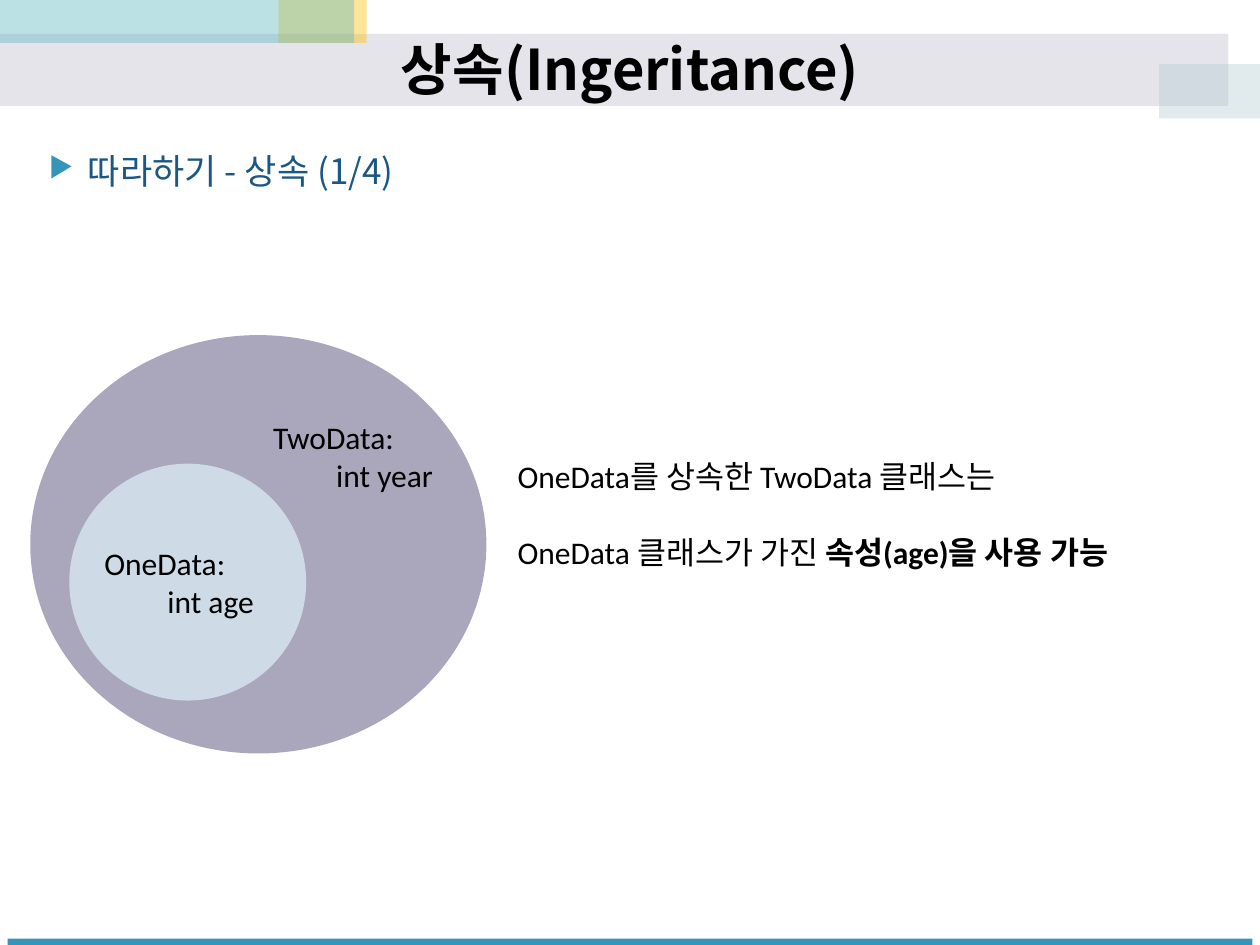
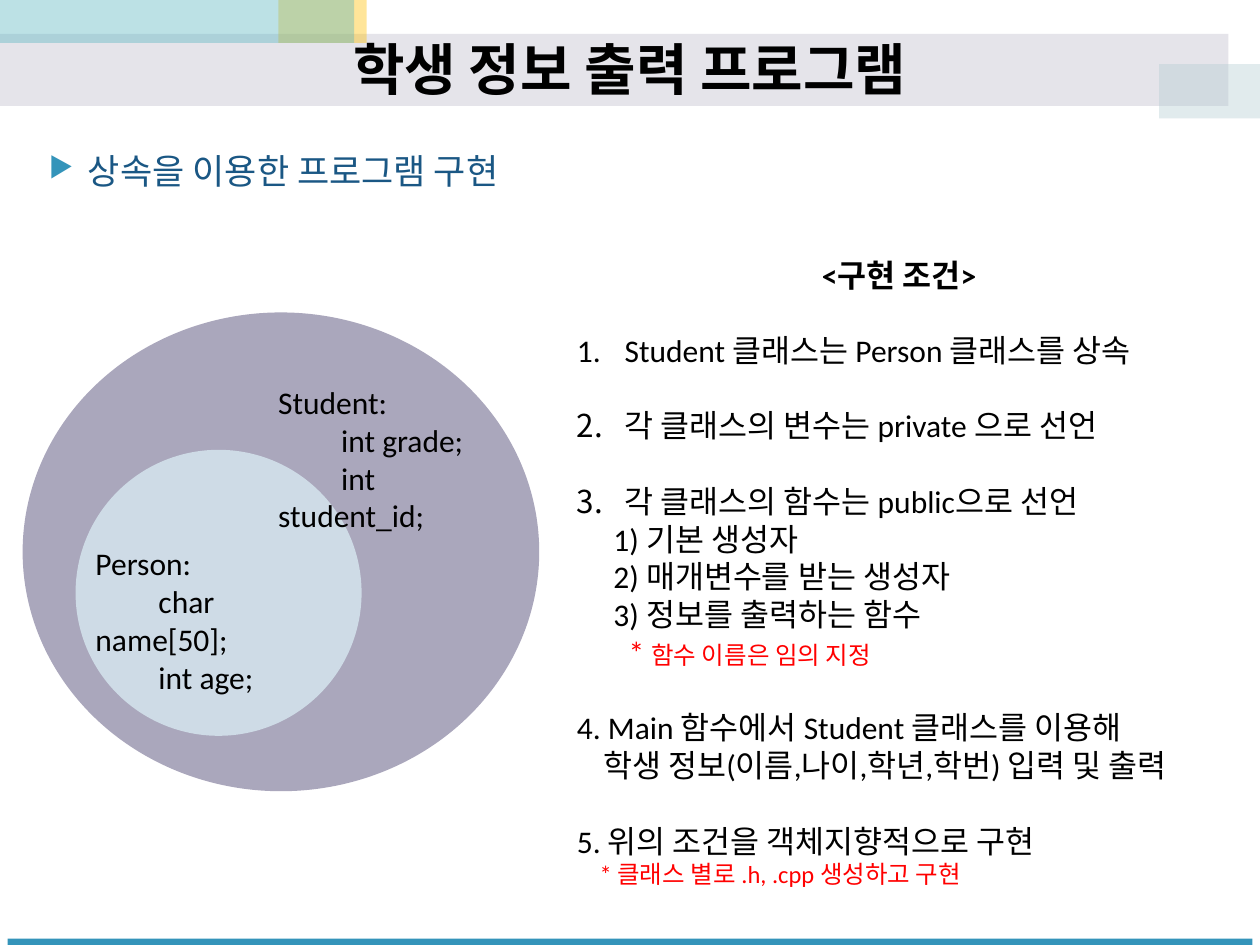
"""Build two slides about class inheritance."""
from lxml.etree import SubElement
from pptx import Presentation
from pptx.dml.color import RGBColor
from pptx.enum.shapes import MSO_SHAPE as Shape
from pptx.enum.text import MSO_ANCHOR as Anchor, MSO_AUTO_SIZE as Fit, PP_ALIGN as Align
from pptx.oxml.ns import qn
from pptx.util import Emu, Pt

PX = 9144
KOREAN, LATIN = "Noto Sans CJK KR", "Calibri"
BLACK, RED, NAVY, BLUE = "000000", "FF0000", "1A5784", "3494BA"
OUTER, INNER = "AAA7BC", "CEDBE6"
GAP = 21.5


def color(value):
    return RGBColor.from_string(value)


def add_text(page, at, lines, font=LATIN, size=18, ink=BLACK, bold=False, wrap=True):
    box = page.shapes.add_textbox(*[Emu(n * PX) for n in at])
    frame = box.text_frame
    frame.word_wrap = wrap
    for index, (spans, layout) in enumerate(lines):
        para = frame.paragraphs[0] if index == 0 else frame.add_paragraph()
        para.alignment = layout.get("align", Align.LEFT)
        para.space_before = Pt(layout.get("before", 0))
        para.space_after = Pt(layout.get("after", 0))
        props = para._p.get_or_add_pPr()
        props.set("marL", str(layout.get("margin", 0) * PX))
        props.set("indent", str(layout.get("indent", 0) * PX))
        if "bullet" in layout:
            tint = SubElement(props, qn("a:buClr"))
            SubElement(tint, qn("a:srgbClr"), val=BLUE)
            SubElement(props, qn("a:buSzPct"), val="80000")
            SubElement(props, qn("a:buChar"), char=layout["bullet"])
        if "number" in layout:
            SubElement(props, qn("a:buFont"), typeface="+mj-lt")
            SubElement(props, qn("a:buAutoNum"), type=layout["number"])
        for words, style in spans:
            span = para.add_run()
            span.text = words
            span.font.name = font
            span.font.size = Pt(style.get("size", size))
            span.font.bold = style.get("bold", bold)
            span.font.color.rgb = color(style.get("ink", ink))
            SubElement(span._r.get_or_add_rPr(), qn("a:ea"), typeface=KOREAN)
    return box


frame_shapes = [
    (Shape.RECTANGLE, (0, 27, 975, 57), OUTER, 30),
    (Shape.RECTANGLE, (221, -1, 70, 35), "FFC000", 40),
    (Shape.RECTANGLE, (-1, -1, 282, 35), "58B6C0", 40),
    (Shape.RECTANGLE, (920, 51, 80, 43), "B5CDD3", 40),
    (Shape.RECTANGLE, (6, 745, 988, 5), BLUE, 100),
]
bulleted = {"margin": 31, "indent": -31, "before": 6, "after": 3, "bullet": "▶"}
numbered = {"margin": 38, "indent": -38, "before": GAP, "number": "arabicPeriod"}
substep = {"margin": 29}
small_red = {"size": 14, "ink": RED}

explanation = [
    ([("OneData를 상속한 TwoData 클래스는", {})], {}),
    ([("OneData 클래스가 가진 ", {}), ("속성(age)을 사용 가능", {"bold": True})], {"before": GAP}),
]
conditions = [
    ([("<구현 조건>", {"bold": True})], {"align": Align.CENTER}),
    ([("Student 클래스는 Person 클래스를 상속", {})], numbered),
    ([("각 클래스의 변수는 private 으로 선언", {})], numbered),
    ([("각 클래스의 함수는 public으로 선언", {})], numbered),
    ([("1) 기본 생성자", {})], substep),
    ([("2) 매개변수를 받는 생성자", {})], substep),
    ([("3) 정보를 출력하는 함수", {})], substep),
    ([("* ", {"ink": RED}), ("함수 이름은 임의 지정", small_red)], {"margin": 41}),
    ([("4. Main 함수에서 Student 클래스를 이용해", {})], {"before": GAP}),
    ([("학생 정보(이름,나이,학년,학번) 입력 및 출력", {})], {"indent": 21}),
    ([("5. 위의 조건을 객체지향적으로 구현", {})], {"before": GAP}),
    ([("* 클래스 별로 .h, .cpp 생성하고 구현", small_red)], {"margin": 18}),
]
slides = [
    {
        "title": "상속(Ingeritance)",
        "topic": "따라하기 - 상속 (1/4)",
        "circles": [((24, 266, 362, 332), OUTER), ((55, 368, 188, 188), INNER)],
        "classes": [
            ((73, 427, 142, 71), ["OneData:", "\tint age"]),
            ((207, 327, 148, 71), ["TwoData:", "\tint year"]),
        ],
        "notes_box": (401, 358, 536, 131),
        "notes": explanation,
    },
    {
        "title": "학생 정보 출력 프로그램",
        "topic": "상속을 이용한 프로그램 구현",
        "circles": [((18, 248, 410, 380), OUTER), ((60, 357, 227, 227), INNER)],
        "classes": [
            ((66, 427, 224, 101), ["Person:", "\tchar name[50];", "\tint age;"]),
            ((211, 299, 211, 101), ["Student:", "\tint grade;", "\tint student_id;"]),
        ],
        "notes_box": (448, 198, 531, 518),
        "notes": conditions,
    },
]

deck = Presentation()
deck.slide_width, deck.slide_height = Emu(1000 * PX), Emu(750 * PX)

for content in slides:
    page = deck.slides.add_slide(deck.slide_layouts[6])
    circles = [(Shape.OVAL, at, fill, 100) for at, fill in content["circles"]]
    for kind, at, fill, opacity in frame_shapes + circles:
        shape = page.shapes.add_shape(kind, *[Emu(n * PX) for n in at])
        shape.shadow.inherit = False
        shape.line.fill.background()
        shape.fill.solid()
        shape.fill.fore_color.rgb = color(fill)
        if opacity < 100:
            tint = shape._element.spPr.find(qn("a:solidFill"))[0]
            SubElement(tint, qn("a:alpha"), val=str(opacity * 1000))

    heading = [([(content["title"], {})], {"align": Align.CENTER})]
    title = add_text(page, (29, 26, 942, 56), heading, KOREAN, 32, bold=True)
    title.text_frame.vertical_anchor = Anchor.MIDDLE
    topic = [([(content["topic"], {})], bulleted)]
    add_text(page, (29, 114, 920, 611), topic, KOREAN, 20, NAVY)

    for at, members in content["classes"]:
        label = add_text(page, at, [([(line, {})], {}) for line in members], wrap=False)
        label.text_frame.auto_size = Fit.SHAPE_TO_FIT_TEXT
    add_text(page, content["notes_box"], content["notes"])

deck.save("out.pptx")
